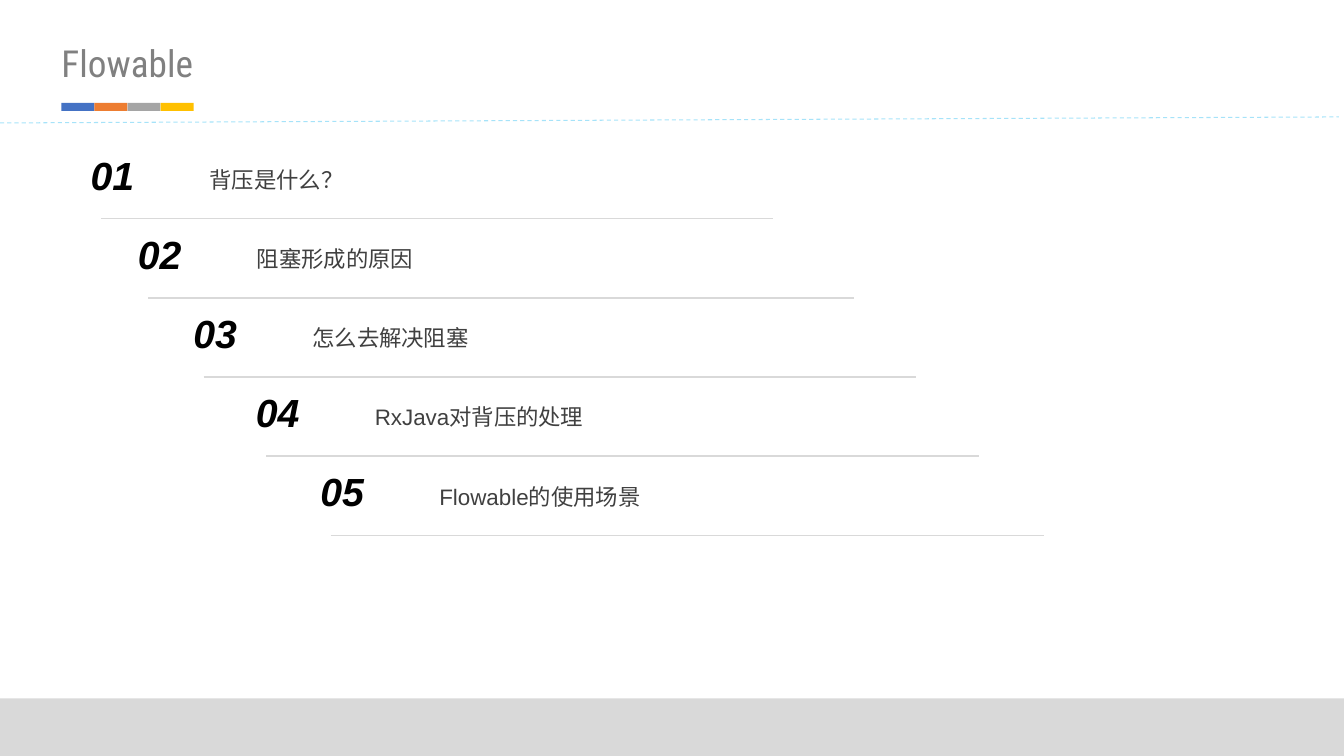
import dataclasses

import lxml.etree
import pptx
import pptx.dml.color
import pptx.enum.dml
import pptx.enum.shapes
import pptx.oxml.ns
import pptx.util

Inches = pptx.util.Inches


@dataclasses.dataclass(frozen=True)
class Theme:
    title_font: str = "Roboto Condensed"
    body_font: str = "Arial"
    title_size: float = 26.6
    number_size: float = 28
    label_size: float = 16
    title: str = "808080"
    number: str = "000000"
    label: str = "404040"
    rule: str = "D9D9D9"
    footer: str = "D9D9D9"
    divider: str = "00B0F0"
    accents: tuple = ("4472C4", "ED7D31", "A5A5A5", "FFC000")


THEME = Theme()

# Number, label, left edge and right end of the rule
AGENDA = [
    ("01", "背压是什么？", 0.8, 7.67),
    ("02", "阻塞形成的原因", 1.27, 8.47),
    ("03", "怎么去解决阻塞", 1.82, 9.09),
    ("04", "RxJava对背压的处理", 2.44, 9.71),
    ("05", "Flowable的使用场景", 3.08, 10.35),
]
ROW_PITCH = 0.785


def color(code):
    return pptx.dml.color.RGBColor.from_string(code)


def add_bar(page, left, top, width, height, fill):
    bar = page.shapes.add_shape(
        pptx.enum.shapes.MSO_SHAPE.RECTANGLE,
        Inches(left), Inches(top), Inches(width), Inches(height))
    bar.shadow.inherit = False
    bar.fill.solid()
    bar.fill.fore_color.rgb = color(fill)
    bar.line.fill.background()


def add_line(page, start, end, line_color, weight):
    line = page.shapes.add_connector(
        pptx.enum.shapes.MSO_CONNECTOR.STRAIGHT,
        Inches(start[0]), Inches(start[1]), Inches(end[0]), Inches(end[1]))
    line.line.color.rgb = color(line_color)
    line.line.width = pptx.util.Pt(weight)
    lxml.etree.SubElement(line._element.spPr, pptx.oxml.ns.qn("a:effectLst"))
    return line


def add_text(page, left, top, width, height, text, font, size, text_color, strong=False):
    box = page.shapes.add_textbox(
        Inches(left), Inches(top), Inches(width), Inches(height))
    box.text_frame.word_wrap = True
    span = box.text_frame.paragraphs[0].add_run()
    span.text = text
    span.font.name = font
    span.font.size = pptx.util.Pt(size)
    span.font.color.rgb = color(text_color)
    span.font.bold = strong
    span.font.italic = strong
    return box


def add_header(page, left, top, width):
    # Title
    title = add_text(page, left, top, width, 0.45, "Flowable",
                     THEME.title_font, THEME.title_size, THEME.title)
    frame = title.text_frame
    frame.margin_left = frame.margin_right = frame.margin_top = frame.margin_bottom = 0

    # Four-colour underline
    bar_width = 0.3275
    for index, accent in enumerate(THEME.accents):
        add_bar(page, left + index * bar_width, top + 0.62, bar_width, 0.08, accent)

    # Faint dashed divider
    divider = add_line(page, (0, top + 0.82), (13.28, top + 0.76), THEME.divider, 0.75)
    divider.line.dash_style = pptx.enum.dml.MSO_LINE.DASH
    shade = divider.line._ln.find(".//" + pptx.oxml.ns.qn("a:srgbClr"))
    lxml.etree.SubElement(shade, pptx.oxml.ns.qn("a:alpha"), val="34000")


def add_agenda_row(page, left, top, rule_end, number, label):
    add_text(page, left, top, 1.12, 0.73, number,
             THEME.body_font, THEME.number_size, THEME.number, strong=True)
    add_text(page, left + 1.18, top + 0.15, 6.33, 0.37, label,
             THEME.body_font, THEME.label_size, THEME.label)
    rule_top = top + 0.72
    add_line(page, (left + 0.2, rule_top), (rule_end, rule_top), THEME.rule, 1)


def add_agenda(page, top):
    for index, (number, label, left, rule_end) in enumerate(AGENDA):
        add_agenda_row(page, left, top + index * ROW_PITCH, rule_end, number, label)


def main():
    deck = pptx.Presentation()
    deck.slide_width = Inches(13.33)
    deck.slide_height = Inches(7.5)
    page = deck.slides.add_slide(deck.slide_layouts[6])

    # Footer band
    add_bar(page, 0, 6.93, 13.33, 0.57, THEME.footer)
    add_header(page, 0.61, 0.4, 5.89)
    add_agenda(page, 1.45)
    deck.save("out.pptx")


if __name__ == "__main__":
    main()
